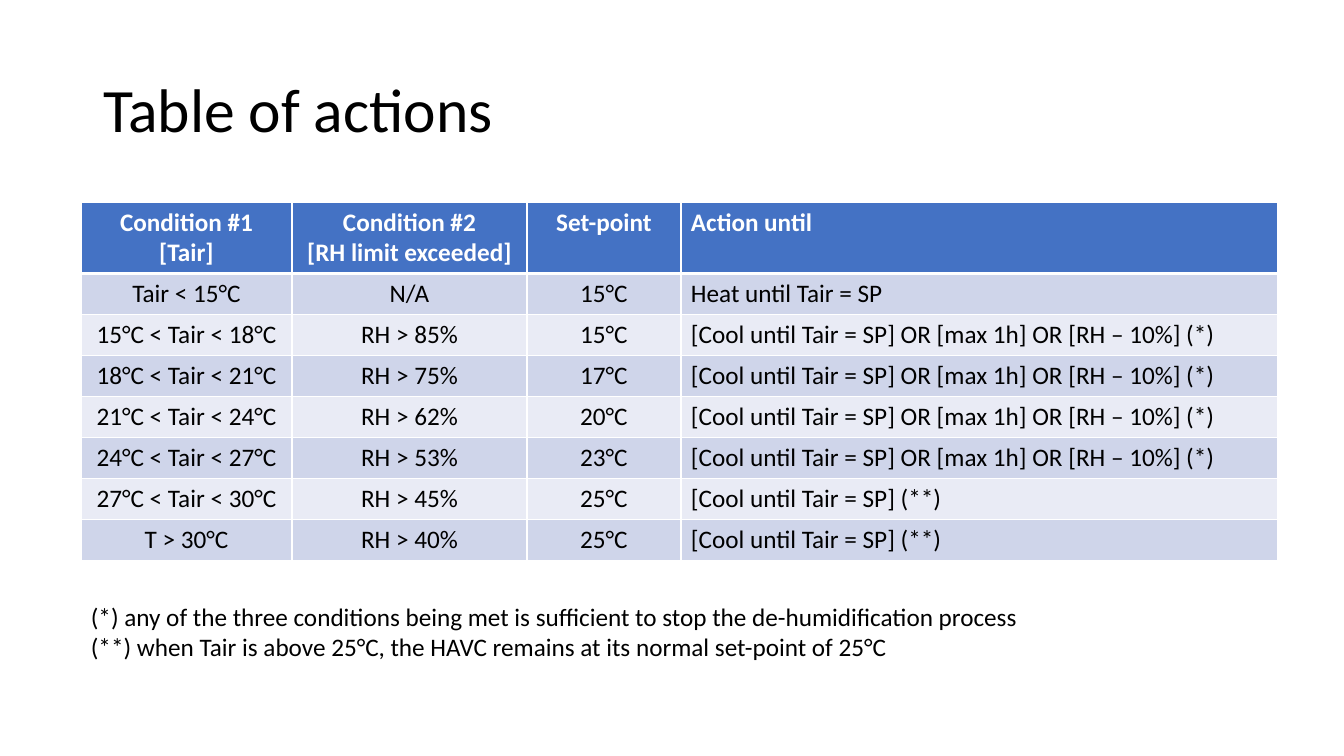
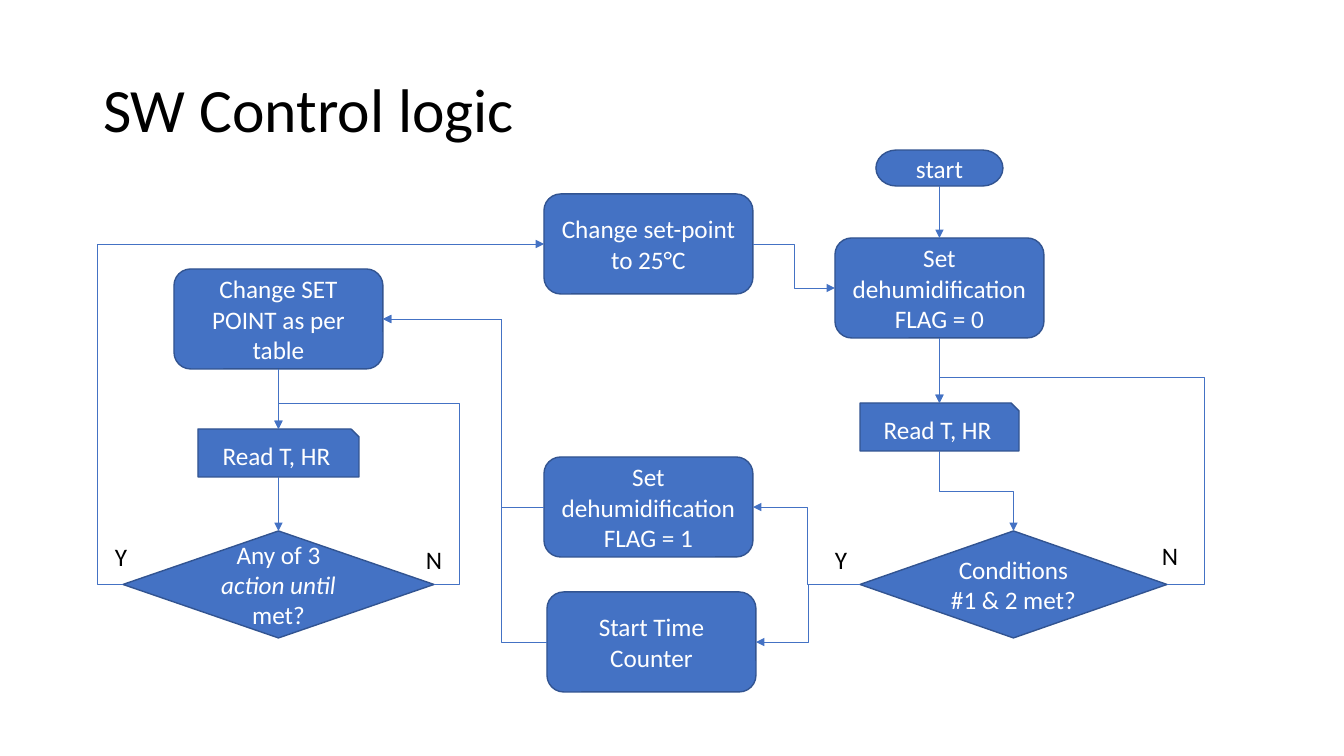
from lxml.etree import SubElement
from pptx import Presentation
from pptx.dml.color import RGBColor
from pptx.enum.shapes import MSO_CONNECTOR, MSO_SHAPE
from pptx.enum.text import MSO_ANCHOR, PP_ALIGN
from pptx.oxml.ns import qn
from pptx.util import Emu, Pt

BLUE = RGBColor(0x44, 0x72, 0xC4)
EDGE = RGBColor(0x32, 0x54, 0x91)
PALE = RGBColor(0xCF, 0xD5, 0xEA)
MIST = RGBColor(0xE9, 0xEB, 0xF5)
WHITE = RGBColor(0xFF, 0xFF, 0xFF)
BLACK = RGBColor(0, 0, 0)
FONT = "Calibri"
SCALE = 914400 / 100.8
SIDES = {"t": (0.5, 0), "l": (0, 0.5), "b": (0.5, 1), "r": (1, 0.5)}
LEFT, MID = PP_ALIGN.LEFT, PP_ALIGN.CENTER


def px(n):
    return Emu(round(n * SCALE))


def put(item, **vals):
    for name, val in vals.items():
        setattr(item, name, val)


class Deck:
    """Holds the shared style and the current slide."""

    def __init__(self):
        self.prs = Presentation()
        put(self.prs, slide_width=px(1344), slide_height=px(756))

    def page(self, title):
        self.slide = self.prs.slides.add_slide(self.prs.slide_layouts[5])
        self.shapes = self.slide.shapes
        head = self.shapes.title
        put(head, left=px(93), top=px(40), width=px(1159), height=px(146))
        put(head.text_frame, vertical_anchor=MSO_ANCHOR.MIDDLE)
        self.label(head.text_frame, title, size=44, line=0.9)

    def label(self, frame, text, color=BLACK, align=LEFT, size=18, bold=False, line=None):
        frame.word_wrap = True
        for i, row in enumerate(text.split("\n")):
            para = frame.add_paragraph() if i else frame.paragraphs[0]
            put(para, alignment=align, line_spacing=line)
            for j, part in enumerate(row.split("|")):
                run = para.add_run()
                run.text = part
                put(run.font, name=FONT, size=Pt(size), bold=bold, italic=j % 2 == 1)
                run.font.color.rgb = color

    def note(self, text, *box):
        self.label(self.shapes.add_textbox(*map(px, box)).text_frame, text)

    def node(self, kind, text, *box):
        shape = self.shapes.add_shape(kind, *map(px, box))
        shape.shadow.inherit = False
        shape.fill.solid()
        shape.fill.fore_color.rgb = BLUE
        shape.line.color.rgb = EDGE
        shape.line.width = Pt(1)
        shape.text_frame.vertical_anchor = MSO_ANCHOR.MIDDLE
        self.label(shape.text_frame, text, WHITE, MID)
        return shape

    def step(self, text, left, top):
        return self.node(MSO_SHAPE.ROUNDED_RECTANGLE, text, left, top, 209, 100)

    def spot(self, shape, side):
        x, y = SIDES[side]
        return round(shape.left + x * shape.width), round(shape.top + y * shape.height)

    def site(self, shape, side):
        snip = shape.auto_shape_type == MSO_SHAPE.SNIP_1_RECTANGLE
        return ("rblt" if snip else "tlbr").index(side)

    def link(self, start, out, end, into, *bends):
        (x, y), (u, v) = self.spot(start, out), self.spot(end, into)
        bent = abs(x - u) > px(1)
        turn = {"l": 180, "b": 270}.get(out, 0) if bent else 0
        if turn == 270:
            cx, cy, dx, dy = (x + u) / 2, (y + v) / 2, (u - x) / 2, (v - y) / 2
            x, y, u, v = map(round, (cx - dy, cy + dx, cx + dy, cy - dx))
        kind = MSO_CONNECTOR.ELBOW if bent else MSO_CONNECTOR.STRAIGHT
        line = self.shapes.add_connector(kind, x, y, u, v)
        line.begin_connect(start, self.site(start, out))
        line.end_connect(end, self.site(end, into))
        put(line, begin_x=x, begin_y=y, end_x=u, end_y=v)
        prop = line.element.spPr
        if turn:
            form = prop.xfrm
            put(form, rot=turn, flipH=not form.flipH, flipV=not form.flipV)
        geom = prop.find(qn("a:prstGeom"))
        if len(bends) == 2:
            geom.set("prst", "bentConnector4")
        for i, bend in enumerate(bends, 1):
            name = f"adj{i}" if bent else "adj"
            SubElement(geom.find(qn("a:avLst")), qn("a:gd"), name=name,
                       fmla=f"val {round(bend * 100000)}")
        line.line.color.rgb = BLUE
        line.line.width = Pt(0.5)
        SubElement(prop.find(qn("a:ln")), qn("a:tailEnd"), type="triangle")
        SubElement(prop, qn("a:effectLst"))

    def edge(self, cell, tag, width):
        rim = SubElement(cell._tc.get_or_add_tcPr(), qn(f"a:{tag}"), w=str(Pt(width)))
        fill = SubElement(rim, qn("a:solidFill"))
        SubElement(fill, qn("a:srgbClr"), val=str(WHITE))

    def table(self, rows, left, top, widths, heights):
        box = map(px, (left, top, sum(widths), sum(heights)))
        grid = self.shapes.add_table(len(rows), len(widths), *box).table
        for col, wide in zip(grid.columns, widths):
            col.width = px(wide)
        for r, (row, high) in enumerate(zip(rows, heights)):
            grid.rows[r].height = px(high)
            for c, text in enumerate(row):
                cell = grid.cell(r, c)
                for tag in ("lnL", "lnR", "lnT", "lnB"):
                    thick = (r, tag) in ((0, "lnB"), (1, "lnT"))
                    self.edge(cell, tag, 3 if thick else 1)
                cell.fill.solid()
                cell.fill.fore_color.rgb = (PALE if r % 2 else MIST) if r else BLUE
                self.label(cell.text_frame, text, BLACK if r else WHITE,
                           LEFT if c == 3 else MID, bold=r == 0)


deck = Deck()
deck.page("Table of actions")
COOL = "[Cool until Tair = SP]"
DRY = COOL + " OR [max 1h] OR [RH – 10%] (*)"
REST = COOL + " (**)"
rules = [
    ("Condition #1\n[Tair]", "Condition #2\n[RH limit exceeded]", "Set-point", "Action until"),
    ("Tair < 15°C", "N/A", "15°C", "Heat until Tair = SP "),
    ("15°C < Tair < 18°C", "RH > 85%", "15°C", DRY),
    ("18°C < Tair < 21°C", "RH > 75%", "17°C", DRY),
    ("21°C < Tair < 24°C", "RH > 62%", "20°C", DRY),
    ("24°C < Tair < 27°C", "RH > 53%", "23°C", DRY),
    ("27°C < Tair < 30°C", "RH > 45%", "25°C", REST),
    ("T > 30°C", "RH > 40%", "25°C", REST),
]
deck.table(rules, 81, 202, (211, 235, 154, 597), [71] + [41] * 7)
deck.note("(*) any of the three conditions being met is sufficient to stop the "
          "de-humidification process\n(**) when Tair is above 25°C, the HAVC remains "
          "at its normal set-point of 25°C", 81, 596, 1118, 71)

deck.page("SW Control logic")
CARD, TEST = MSO_SHAPE.SNIP_1_RECTANGLE, MSO_SHAPE.FLOWCHART_DECISION
start = deck.node(MSO_SHAPE.FLOWCHART_TERMINATOR, "start", 876, 150, 127, 36)
read = deck.node(CARD, "Read T, HR", 860, 403, 159, 48)
check = deck.node(TEST, "Conditions #1 & 2 met?", 860, 531, 307, 107)
again = deck.node(CARD, "Read T, HR", 198, 429, 161, 48)
met = deck.node(TEST, "Any of 3 |action until| met?", 123, 531, 311, 107)
flag = deck.step("Set dehumidification FLAG = 1", 544, 457)
clear = deck.step("Set dehumidification FLAG = 0", 835, 238)
point = deck.step("Change SET POINT as per table", 174, 269)
timer = deck.step("Start Time Counter", 547, 592)
reset = deck.step("Change set-point to 25°C", 544, 194)

for route in (
    (start, "b", clear, "t"),
    (clear, "b", read, "t"),
    (read, "b", check, "t"),
    (check, "r", read, "t", -0.166, 1.139),
    (check, "l", flag, "r", 0.49),
    (check, "l", timer, "r", 0.5),
    (flag, "l", point, "r", 0.266),
    (timer, "l", point, "r", 0.276),
    (point, "b", again, "t"),
    (again, "b", met, "t"),
    (met, "r", again, "t", -0.162, 1.162),
    (met, "l", reset, "l", -0.06),
    (reset, "r", clear, "l"),
):
    deck.link(*route)

for text, left, top in (("Y", 825, 539), ("N", 1152, 535), ("Y", 105, 536), ("N", 416, 539)):
    deck.note(text, left, top, 51, 40)

deck.prs.save("out.pptx")
